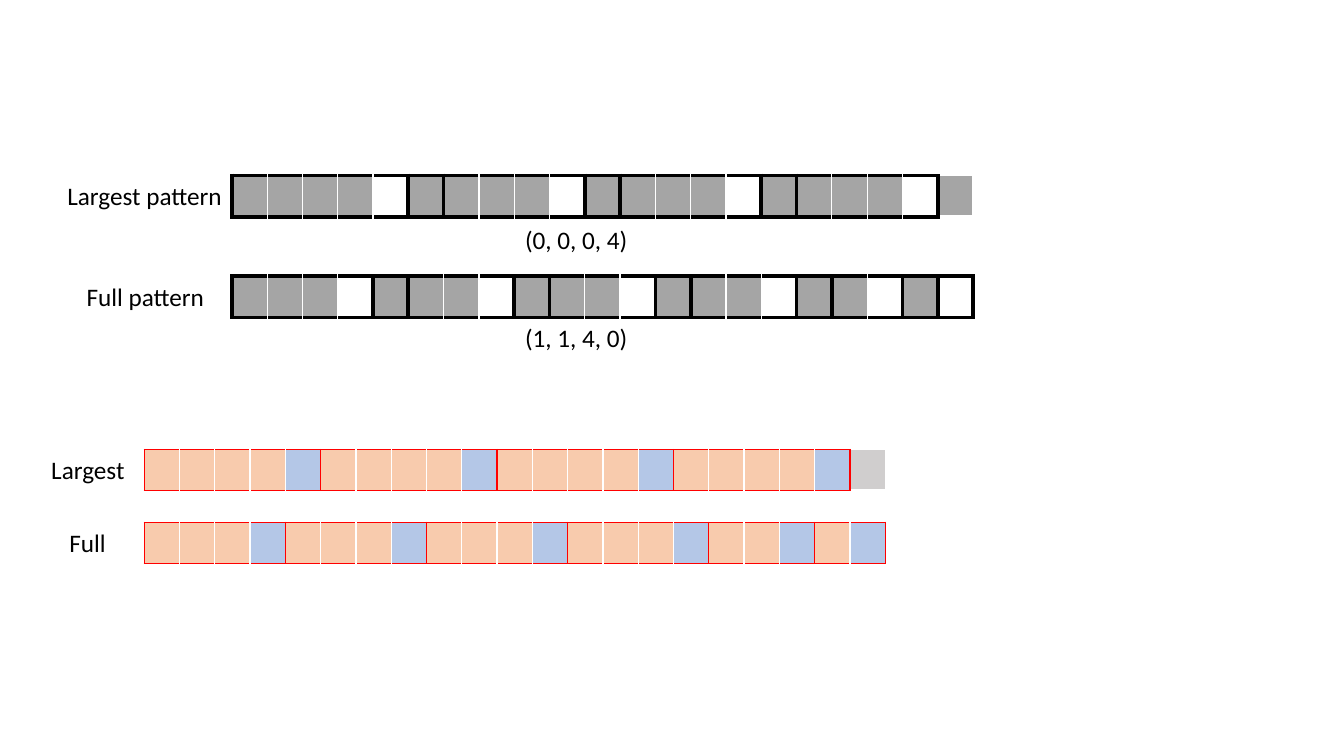
from dataclasses import dataclass

from lxml import etree
from pptx import Presentation
from pptx.dml.color import RGBColor
from pptx.enum.text import MSO_AUTO_SIZE
from pptx.oxml.ns import qn
from pptx.util import Inches, Pt

FIT = MSO_AUTO_SIZE.SHAPE_TO_FIT_TEXT
BLANK = 6
CELL, HIGH = 0.35, 0.41
LARGE = [5, 5, 5, 5]
FULL = [4, 4, 4, 4, 3, 2]


@dataclass(frozen=True)
class Theme:
    font: str = "Calibri"
    size: int = 18
    ink: str = "000000"
    white: str = "FFFFFF"


@dataclass(frozen=True)
class Look:
    body: str
    tail: str
    spare: str
    edge: str
    width: int
    split: bool  # close off the first cell of each later group


THEME = Theme()
GRAY = Look("A5A5A5", "FFFFFF", "A5A5A5", "000000", 3, True)
WARM = Look("F8CBAD", "B4C7E7", "D0CECE", "FF0000", 1, False)


def add_text(slide, text, x, y, w, h=0.4, size=THEME.size, color=THEME.ink):
    box = slide.shapes.add_textbox(Inches(x), Inches(y), Inches(w), Inches(h))
    frame = box.text_frame
    frame.word_wrap = False
    frame.auto_size = FIT
    run = frame.paragraphs[0].add_run()
    run.text = text
    run.font.name = THEME.font
    run.font.size = Pt(size)
    run.font.color.rgb = RGBColor.from_string(color)


def style_cell(cell, fill, **sides):
    """Set the fill and the four borders, each a (colour, points) pair."""
    props = cell._tc.get_or_add_tcPr()
    for side in "LRTB":
        color, width = sides[side]
        line = etree.SubElement(props, qn("a:ln" + side), w=str(Pt(width)))
        solid = etree.SubElement(line, qn("a:solidFill"))
        etree.SubElement(solid, qn("a:srgbClr"), val=color)
    cell.fill.solid()
    cell.fill.fore_color.rgb = RGBColor.from_string(fill)


def add_strip(slide, x, y, groups, look, spare=0):
    """Draw one row of cells, split into groups that end in a tail cell."""
    count = sum(groups) + spare
    frame = slide.shapes.add_table(1, count, Inches(x), Inches(y),
                                   Inches(count * CELL), Inches(HIGH))
    table = frame.table
    table.first_row = table.horz_banding = False
    table.rows[0].height = Inches(HIGH)
    for col in table.columns:
        col.width = Inches(CELL)

    bold, thin = (look.edge, look.width), (THEME.white, 1)
    ends = {sum(groups[:i + 1]) for i in range(len(groups))}
    bars = {0} | ends
    if look.split:
        bars |= {end + 1 for end in ends}

    for i in range(count):
        cell = table.cell(0, i)
        left = bold if i in bars else thin
        right = bold if i + 1 in bars and i + 1 <= sum(groups) else thin
        if i >= sum(groups):
            style_cell(cell, look.spare, L=left, R=right, T=thin,
                       B=(THEME.white, 3))
        else:
            fill = look.tail if i + 1 in ends else look.body
            style_cell(cell, fill, L=left, R=right, T=bold, B=bold)


def add_gray(slide, x, y):
    """Gray patterns with their labels and counts."""
    add_strip(slide, x + 1.73, y, LARGE, GRAY, spare=1)
    add_strip(slide, x + 1.73, y + 1, FULL, GRAY)
    add_text(slide, "Largest pattern", x, y, 1.76)
    add_text(slide, "Full pattern", x + 0.19, y + 1, 1.39)
    add_text(slide, "(0, 0, 0, 4)", x + 4.54, y + 0.44, 1.23)
    add_text(slide, "(1, 1, 4, 0)", x + 4.54, y + 1.41, 1.23)


def add_warm(slide, x, y):
    """Coloured patterns with their labels."""
    add_strip(slide, x + 1.02, y, LARGE, WARM, spare=1)
    add_strip(slide, x + 1.02, y + 0.72, FULL, WARM)
    add_text(slide, "Largest", x, y, 0.94)
    add_text(slide, "Full", x + 0.18, y + 0.72, 0.57)


def main():
    deck = Presentation()
    deck.slide_width, deck.slide_height = Inches(13.33), Inches(7.5)
    slide = deck.slides.add_slide(deck.slide_layouts[BLANK])
    add_warm(slide, 0.41, 4.46)
    add_gray(slide, 0.57, 1.74)
    deck.save("out.pptx")


if __name__ == "__main__":
    main()
